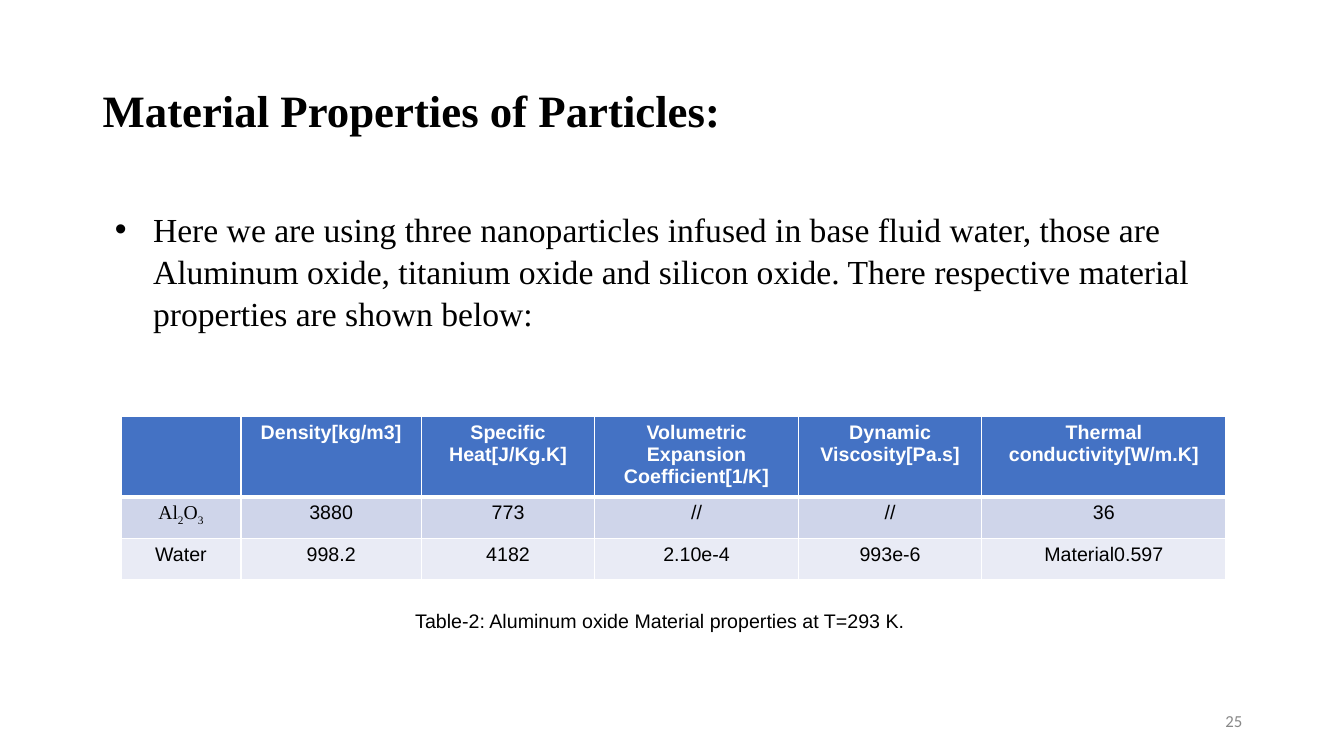
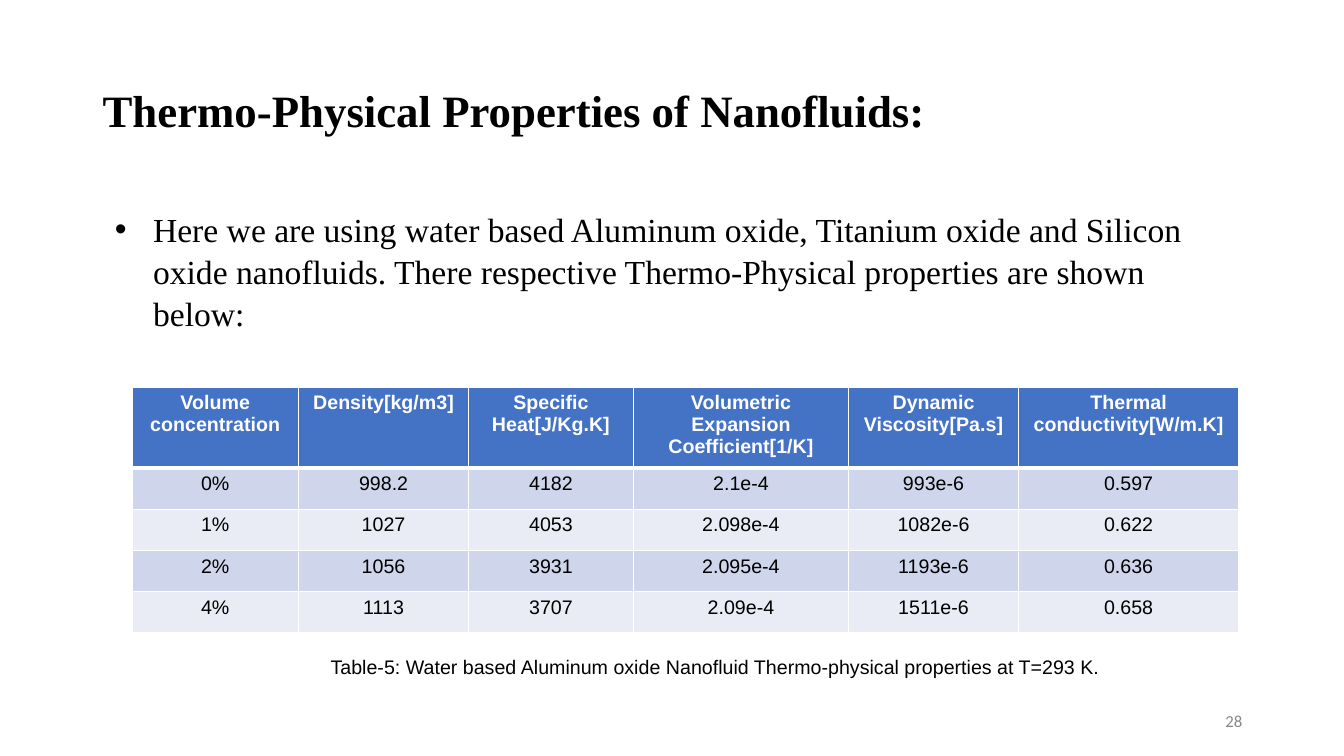
"""Builds two slides of nanofluid property tables."""
from lxml import etree
from pptx import Presentation
from pptx import util as u
from pptx.dml.color import RGBColor
from pptx.enum import text as t
from pptx.oxml import ns

SERIF, SANS, FOOT = "Times New Roman", "Arial", "Calibri"
BLACK, WHITE, GREY = "000000", "FFFFFF", "888888"
BLUE, BANDS = "4472C4", ("CFD5EA", "E9EBF5")
LEFT, CENTER, RIGHT = t.PP_ALIGN.LEFT, t.PP_ALIGN.CENTER, t.PP_ALIGN.RIGHT
TOP, MIDDLE = t.MSO_ANCHOR.TOP, t.MSO_ANCHOR.MIDDLE
HEAD_H, ROW_H = 0.75, 0.41
HEADS = ["Density[kg/m3]", "Specific Heat[J/Kg.K]",
         "Volumetric Expansion Coefficient[1/K]",
         "Dynamic Viscosity[Pa.s]", "Thermal conductivity[W/m.K]"]

SLIDES = [
    dict(title="Material Properties of Particles:",
         body="Here we are using three nanoparticles infused in base fluid "
              "water, those are Aluminum oxide, titanium oxide and silicon "
              "oxide. There respective material properties are shown below:",
         page="25", left=1.2, top=4.13,
         cols=[1.19, 1.79, 1.72, 2.02, 1.82, 2.42],
         rows=[["", *HEADS],
               ["Al_2O_3", "3880", "773", "//", "//", "36"],
               ["Water", "998.2", "4182", "2.10e-4", "993e-6",
                "Material0.597"]],
         note="Table-2: Aluminum oxide Material properties at T=293 K.",
         spot=(4.02, 5.99, 5.4, 0.34)),
    dict(title="Thermo-Physical Properties of Nanofluids:",
         body="Here we are using water based Aluminum oxide, Titanium oxide "
              "and Silicon oxide nanofluids. There respective "
              "Thermo-Physical properties are shown below:",
         page="28", left=1.31, top=3.84,
         cols=[1.65, 1.69, 1.63, 2.14, 1.68, 2.19],
         rows=[["Volume concentration", *HEADS],
               ["0%", "998.2", "4182", "2.1e-4", "993e-6", "0.597"],
               ["1%", "1027", "4053", "2.098e-4", "1082e-6", "0.622"],
               ["2%", "1056", "3931", "2.095e-4", "1193e-6", "0.636"],
               ["4%", "1113", "3707", "2.09e-4", "1511e-6", "0.658"]],
         note="Table-5: Water based Aluminum oxide Nanofluid "
              "Thermo-physical properties at T=293 K.",
         spot=(3.18, 6.45, 8.22, 0.34)),
]


def color(code):
    return RGBColor.from_string(code)


def add(node, tag, **attrs):
    return etree.SubElement(node, ns.qn(tag), **attrs)


def bullet(par):
    props = par._p.get_or_add_pPr()
    props.set("marL", str(u.Inches(0.5)))
    props.set("indent", str(u.Inches(-0.38)))
    add(props, "a:buFont", typeface=SANS)
    add(props, "a:buChar", char="•")


def write(frame, text, size=14, font=SANS, ink=BLACK, bold=False,
          align=LEFT, line=None, dot=False):
    par = frame.paragraphs[0]
    par.alignment = align
    if line:
        par.line_spacing = line
    if dot:
        bullet(par)
    first, *rest = text.split("_")
    parts = [(first, False)]
    for piece in rest:
        parts += [(piece[0], True), (piece[1:], False)]
    for piece, sub in parts:
        if not piece:
            continue
        run = par.add_run()
        run.text = piece
        run.font.size = u.Pt(size)
        run.font.name = font
        run.font.bold = bold
        run.font.color.rgb = color(ink)
        if sub:
            run._r.get_or_add_rPr().set("baseline", "-25000")


def label(slide, spot, text, anchor=TOP, **form):
    frame = slide.shapes.add_textbox(*map(u.Inches, spot)).text_frame
    frame.word_wrap = True
    frame.vertical_anchor = anchor
    write(frame, text, **form)


def edge(cell, **widths):
    props = cell._tc.get_or_add_tcPr()
    for side in "LRTB":
        line = add(props, "a:ln" + side, w=str(u.Pt(widths.get(side, 1))))
        add(add(line, "a:solidFill"), "a:srgbClr", val=WHITE)


def grid(slide, left, top, cols, rows):
    high = HEAD_H + ROW_H * (len(rows) - 1)
    box = map(u.Inches, (left, top, sum(cols), high))
    table = slide.shapes.add_table(len(rows), len(cols), *box).table
    for col, wide in zip(table.columns, cols):
        col.width = u.Inches(wide)
    for r, row in enumerate(rows):
        head = r == 0
        table.rows[r].height = u.Inches(HEAD_H if head else ROW_H)
        for c, text in enumerate(row):
            cell = table.cell(r, c)
            edge(cell, T=3 if r == 1 else 1, B=3 if head else 1)
            cell.fill.solid()
            cell.fill.fore_color.rgb = color(BLUE if head else BANDS[(r - 1) % 2])
            write(cell.text_frame, text, align=CENTER, bold=head,
                  ink=WHITE if head else BLACK,
                  font=SERIF if "_" in text else SANS)


def page(deck, title, body, page, left, top, cols, rows, note, spot):
    slide = deck.slides.add_slide(deck.slide_layouts[6])
    label(slide, (0.92, 0.4, 11.5, 1.45), title, MIDDLE,
          size=32, font=SERIF, bold=True, line=0.9)
    label(slide, (0.92, 2, 11.5, 4.76), body,
          size=24, font=SERIF, line=1.05, dot=True)
    label(slide, (9.42, 6.95, 3, 0.4), page, MIDDLE,
          size=12, font=FOOT, ink=GREY, align=RIGHT)
    grid(slide, left, top, cols, rows)
    label(slide, spot, note)


def main():
    deck = Presentation()
    deck.slide_width = u.Inches(13.33)
    deck.slide_height = u.Inches(7.5)
    for data in SLIDES:
        page(deck, **data)
    deck.save("out.pptx")


if __name__ == "__main__":
    main()
